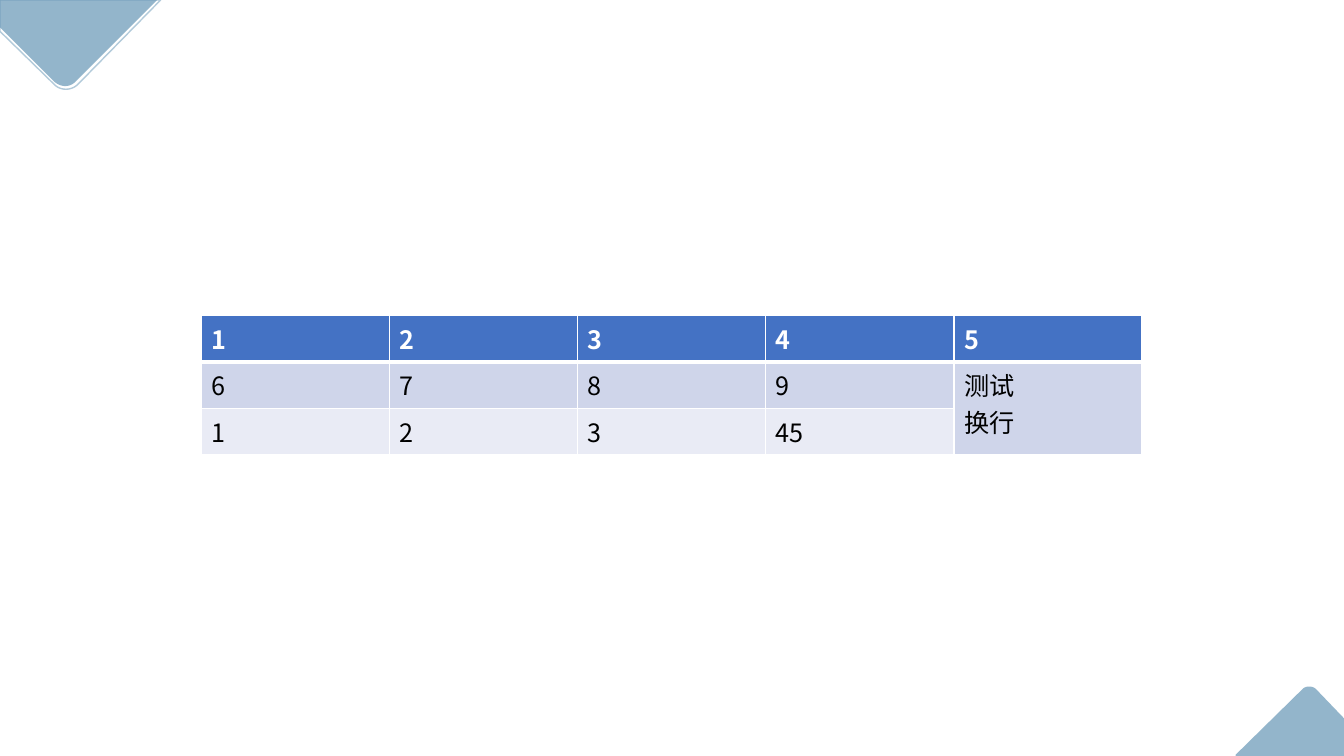
from dataclasses import dataclass

from lxml import etree
from pptx import Presentation
from pptx.dml.color import RGBColor
from pptx.oxml.ns import qn
from pptx.util import Cm, Pt

FONT = "Noto Sans CJK SC"
CORNER_BLUE = "6696B6"
WHITE = "FFFFFF"
CURVE_STEPS = 12

Point = tuple[float, float]


@dataclass(frozen=True)
class Corner:
    """A cut-off rounded diamond; a segment of three points is a Bézier curve."""
    segments: list[list[Point]]
    opacity: int
    filled: bool = True


@dataclass(frozen=True)
class RowStyle:
    fill: str
    text: str
    bold: bool
    top: float
    bottom: float


CORNERS = [
    Corner([[(32.99, 17.3)], [(33.05, 17.3), (33.12, 17.32), (33.17, 17.37)],
            [(33.87, 18.1)], [(33.87, 19.05)], [(31.14, 19.05)], [(31.14, 19.02)],
            [(32.82, 17.37)], [(32.87, 17.32), (32.93, 17.3), (32.99, 17.3)]], 70),
    Corner([[(3.96, 0)], [(0, 0)], [(0, 0.69)], [(1.37, 2.06)],
            [(1.55, 2.21), (1.78, 2.21), (1.93, 2.03)]], 70),
    Corner([[(4.05, 0)], [(0, 0)], [(0, 0.79)], [(1.37, 2.13)],
            [(1.52, 2.29), (1.8, 2.29), (1.96, 2.13)]], 50, filled=False),
]

ROWS = [
    ["1", "2", "3", "4", "5"],
    ["6", "7", "8", "9", "测试\n换行"],
    ["1", "2", "3", "45", ""],
]
ROW_STYLES = [
    RowStyle("4472C4", WHITE, True, 1, 3),
    RowStyle("CFD5EA", "000000", False, 3, 1),
    RowStyle("E9EBF5", "000000", False, 1, 1),
]


def color(hex_value: str) -> RGBColor:
    return RGBColor.from_string(hex_value)


def curve(start: Point, controls: list[Point]) -> list[Point]:
    """Sample a cubic Bézier curve, leaving out its start."""
    points = []
    for step in range(1, CURVE_STEPS + 1):
        t = step / CURVE_STEPS
        weights = ((1 - t) ** 3, 3 * t * (1 - t) ** 2, 3 * t * t * (1 - t), t ** 3)
        points.append(tuple(sum(w * p[axis] for w, p in zip(weights, [start, *controls]))
                            for axis in (0, 1)))
    return points


def draw_corner(slide, corner: Corner) -> None:
    outline: list[Point] = []
    for segment in corner.segments:
        outline += curve(outline[-1], segment) if len(segment) == 3 else segment
    vertices = [(Cm(x), Cm(y)) for x, y in outline]
    builder = slide.shapes.build_freeform(*vertices[0])
    builder.add_line_segments(vertices[1:], close=True)
    diamond = builder.convert_to_shape()
    diamond.shadow.inherit = False
    if corner.filled:
        diamond.line.fill.background()
        paint = diamond.fill
    else:
        diamond.fill.background()
        diamond.line.width = Pt(1)
        paint = diamond.line.fill
    paint.solid()
    paint.fore_color.rgb = color(CORNER_BLUE)
    # The last srgbClr belongs to the only visible paint.
    rgb = list(diamond.element.spPr.iter(qn("a:srgbClr")))[-1]
    etree.SubElement(rgb, qn("a:alpha"), val=str(corner.opacity * 1000))


def add_border(cell, side: str, width: float) -> None:
    border = etree.SubElement(cell._tc.get_or_add_tcPr(), qn(f"a:ln{side}"),
                              w=str(Pt(width)))
    fill = etree.SubElement(border, qn("a:solidFill"))
    etree.SubElement(fill, qn("a:srgbClr"), val=WHITE)


def write_cell(cell, text: str, style: RowStyle) -> None:
    for side, width in zip("LRTB", (1, 1, style.top, style.bottom)):
        add_border(cell, side, width)
    cell.fill.solid()
    cell.fill.fore_color.rgb = color(style.fill)
    if not text:
        return
    for index, words in enumerate(text.split("\n")):
        frame = cell.text_frame
        paragraph = frame.add_paragraph() if index else frame.paragraphs[0]
        run = paragraph.add_run()
        run.text = words
        run.font.size = Pt(18)
        run.font.bold = style.bold
        run.font.color.rgb = color(style.text)
        run.font.name = FONT
        etree.SubElement(run.font._element, qn("a:ea"), typeface=FONT)


def draw_table(slide) -> None:
    table = slide.shapes.add_table(len(ROWS), len(ROWS[0]), Cm(5.08), Cm(7.94),
                                   Cm(23.7), Cm(3.18)).table
    for row in table.rows:
        row.height = Cm(1.06)
    for column in table.columns:
        column.width = Cm(4.74)
    for r, (texts, style) in enumerate(zip(ROWS, ROW_STYLES)):
        for c, text in enumerate(texts):
            write_cell(table.cell(r, c), text, style)
    table.cell(1, 4).merge(table.cell(2, 4))


def main() -> None:
    deck = Presentation()
    deck.slide_width, deck.slide_height = Cm(33.87), Cm(19.05)
    slide = deck.slides.add_slide(deck.slide_layouts[6])
    for corner in CORNERS:
        draw_corner(slide, corner)
    draw_table(slide)
    deck.save("out.pptx")


if __name__ == "__main__":
    main()
